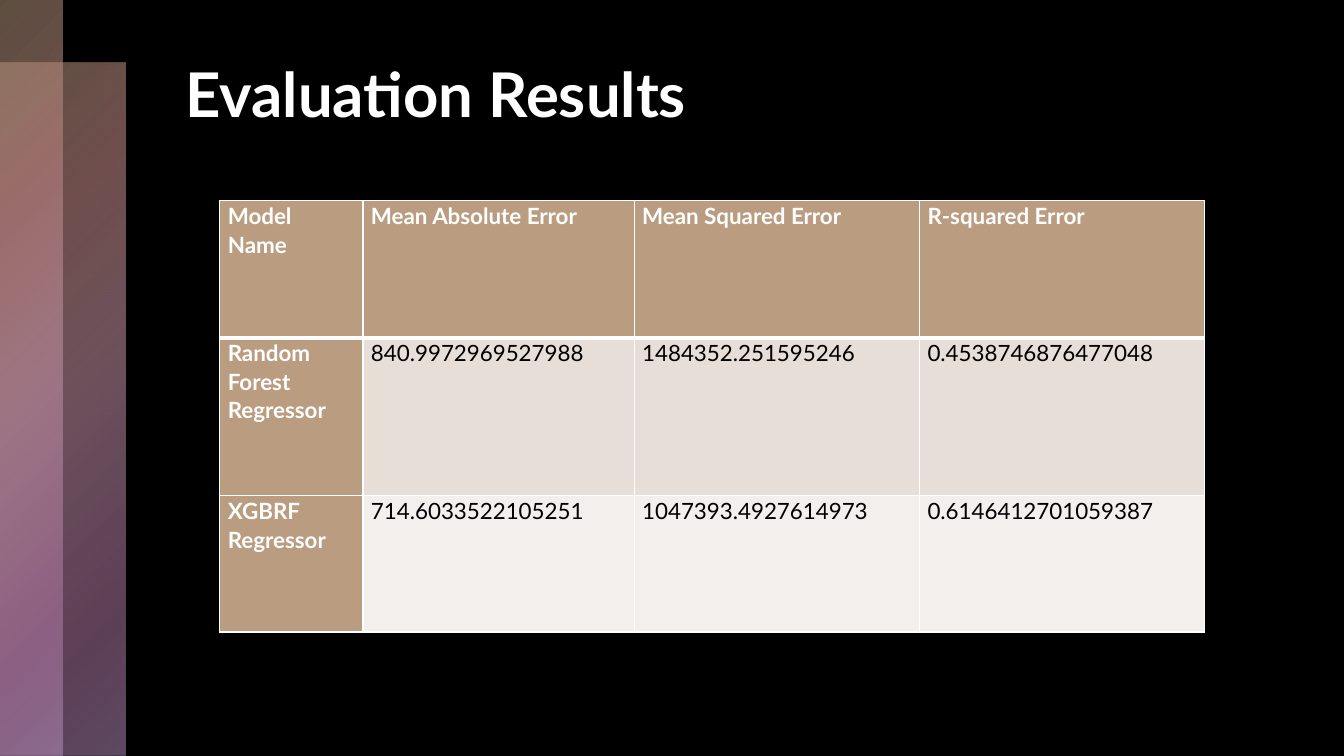
from lxml import etree
from pptx import Presentation
from pptx.dml.color import RGBColor
from pptx.enum.shapes import MSO_SHAPE
from pptx.enum.text import MSO_ANCHOR, PP_ALIGN
from pptx.oxml import parse_xml
from pptx.util import Inches, Pt

TITLE = "Evaluation Results"
ROWS = [
    ("Model Name", "Mean Absolute Error", "Mean Squared Error", "R-squared Error"),
    ("Random Forest Regressor", "840.9972969527988", "1484352.251595246", "0.4538746876477048"),
    ("XGBRF Regressor", "714.6033522105251", "1047393.4927614973", "0.6146412701059387"),
]
WIDTHS = (1.42, 2.69, 2.83, 2.83)
HEIGHTS = (1.36, 1.57, 1.35)
PANELS = [(0.62, 1.24, 6.88, 25), (0, 0.62, 7.5, 25)]
STOPS = [(0, "BA9C80", 50), (25, "BA827F", 60), (50, "C594A6", 55),
         (81, "BA7FAD", 50), (99, "BC94C5", 50)]

FONT = "Lato"
BLACK = RGBColor(0x00, 0x00, 0x00)
WHITE = RGBColor(0xFF, 0xFF, 0xFF)
TAN = RGBColor(0xBA, 0x9C, 0x80)
BANDS = (RGBColor(0xE7, 0xDE, 0xD8), RGBColor(0xF3, 0xEF, 0xED))
NS = "http://schemas.openxmlformats.org/drawingml/2006/main"


def style(par, size, color, bold):
    """Format every run of a paragraph."""
    for run in par.runs:
        font = run.font
        font.name, font.size, font.bold = FONT, Pt(size), bold
        font.color.rgb = color


def add_panel(slide, top, width, height):
    """Draw one see-through gradient strip at the left edge."""
    panel = slide.shapes.add_shape(MSO_SHAPE.RECTANGLE, 0, Inches(top),
                                   Inches(width), Inches(height))
    panel.shadow.inherit = False
    panel.line.fill.background()
    stops = "".join(
        f'<a:gs pos="{pos * 1000}"><a:srgbClr val="{color}">'
        f'<a:alpha val="{alpha * 1000}"/></a:srgbClr></a:gs>'
        for pos, color, alpha in STOPS)
    grad = parse_xml(
        f'<a:gradFill xmlns:a="{NS}" rotWithShape="1"><a:gsLst>{stops}</a:gsLst>'
        '<a:path path="circle"><a:fillToRect r="100000" b="100000"/></a:path></a:gradFill>')
    panel.fill.background()
    props = panel.element.spPr
    props.replace(props.find(f"{{{NS}}}noFill"), grad)


def add_edges(cell, under):
    """Give a cell white borders, with its own bottom width."""
    props = cell._tc.get_or_add_tcPr()
    for spot, (side, width) in enumerate(zip("LRTB", (1, 1, 1, under))):
        line = etree.Element(f"{{{NS}}}ln{side}", w=str(Pt(width)))
        fill = etree.SubElement(line, f"{{{NS}}}solidFill")
        etree.SubElement(fill, f"{{{NS}}}srgbClr", val=str(WHITE))
        props.insert(spot, line)


def fill_cell(cell, text, row, col):
    """Write and format one table cell."""
    head = row == 0 or col == 0
    cell.fill.solid()
    cell.fill.fore_color.rgb = TAN if head else BANDS[row - 1]
    cell.margin_left = cell.margin_right = Inches(0.08)
    cell.margin_top = cell.margin_bottom = 0
    cell.vertical_anchor = MSO_ANCHOR.TOP
    cell.text_frame.text = text
    par = cell.text_frame.paragraphs[0]
    par.line_spacing, par.space_after = 1.07, Pt(8)
    style(par, 16, WHITE if head else BLACK, head)
    add_edges(cell, 3 if row == 0 else 1)
    if row == 1:
        cell._tc.tcPr.find(f"{{{NS}}}lnT").set("w", str(Pt(3)))


def add_grid(slide):
    """Build the results table."""
    frame = slide.shapes.add_table(len(ROWS), len(WIDTHS), Inches(2.18), Inches(1.99),
                                   Inches(sum(WIDTHS)), Inches(sum(HEIGHTS)))
    table = frame.table
    for col, width in enumerate(WIDTHS):
        table.columns[col].width = Inches(width)
    for row, (height, texts) in enumerate(zip(HEIGHTS, ROWS)):
        table.rows[row].height = Inches(height)
        for col, text in enumerate(texts):
            fill_cell(table.cell(row, col), text, row, col)


def main():
    """Build and save the slide."""
    deck = Presentation()
    deck.slide_width, deck.slide_height = Inches(13.33), Inches(7.5)
    slide = deck.slides.add_slide(deck.slide_layouts[5])
    slide.background.fill.solid()
    slide.background.fill.fore_color.rgb = BLACK
    for top, width, height, _ in PANELS:
        add_panel(slide, top, width, height)
    title = slide.shapes.title
    title.left, title.top = Inches(1.74), Inches(0.5)
    title.width, title.height = Inches(10.37), Inches(1.7)
    title.text_frame.text = TITLE
    title.text_frame.vertical_anchor = MSO_ANCHOR.TOP
    par = title.text_frame.paragraphs[0]
    par.alignment = PP_ALIGN.LEFT
    style(par, 44, WHITE, True)
    add_grid(slide)
    deck.save("out.pptx")


if __name__ == "__main__":
    main()
